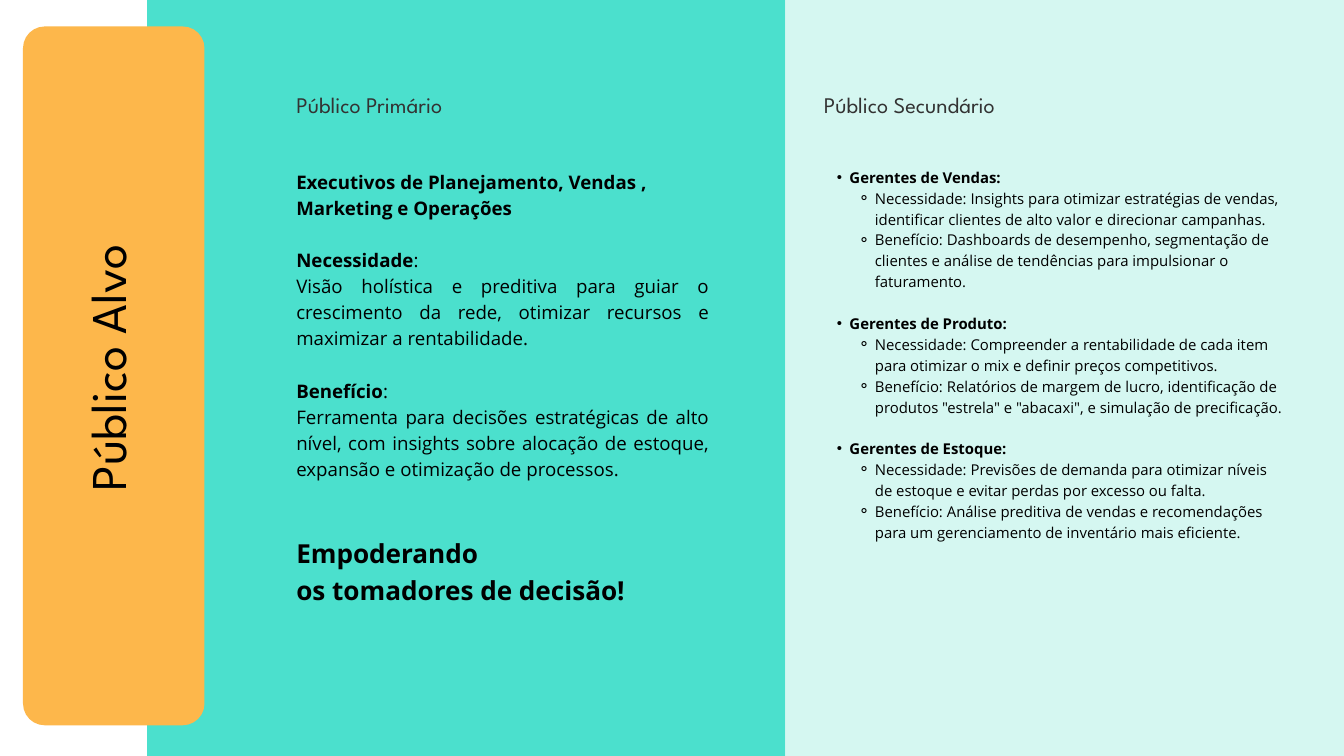
from pptx import Presentation
from pptx.dml.color import RGBColor
from pptx.enum.shapes import MSO_SHAPE
from pptx.enum.text import PP_ALIGN
from pptx.oxml.ns import qn
from pptx.util import Cm, Pt
from lxml import etree

RECT, ROUND = MSO_SHAPE.RECTANGLE, MSO_SHAPE.ROUNDED_RECTANGLE
LEFT, MID, JUST = PP_ALIGN.LEFT, PP_ALIGN.CENTER, PP_ALIGN.JUSTIFY

WIDE, HIGH = 50.8, 28.58
HUES = {"teal": "4BE0CD", "mint": "D5F7F1", "gold": "FDB74B",
        "ink": "000000", "gray": "333333"}

PANELS = [
    (RECT, "teal", (5.56, 0, 24.13, HIGH)),
    (RECT, "mint", (29.69, 0, 21.11, HIGH)),
    (ROUND, "gold", (0.87, 1, 6.86, 26.42)),
]

STYLES = {
    "title": {"font": "League Spartan", "size": 53.6, "line": 70.2, "hue": "ink", "align": MID},
    "head": {"font": "League Spartan", "size": 23.9, "line": 33.5, "hue": "gray", "align": LEFT},
    "lead": {"font": "Open Sans", "size": 20, "line": 28, "hue": "ink", "align": LEFT},
    "body": {"font": "Open Sans", "size": 20, "line": 28, "hue": "ink", "align": JUST},
    "call": {"font": "Open Sans", "size": 28, "line": 39.2, "hue": "ink", "align": JUST},
    "role": {"font": "Open Sans", "size": 16, "line": 22.4, "hue": "ink", "align": LEFT,
             "bullet": (1, 0.97, -0.48, "•")},
    "item": {"font": "Open Sans", "size": 16, "line": 22.4, "hue": "ink", "align": LEFT,
             "bullet": (2, 1.93, -0.64, "⚬")},
}

TITLE = "Público Alvo"
HEADS = [(11.2, "Público Primário"), (31.14, "Público Secundário")]
LEAD = "Executivos de Planejamento, Vendas , Marketing e Operações"
NEEDS = [
    ("Necessidade", "Visão holística e preditiva para guiar o crescimento da rede, "
     "otimizar recursos e maximizar a rentabilidade."),
    ("Benefício", "Ferramenta para decisões estratégicas de alto nível, com insights "
     "sobre alocação de estoque, expansão e otimização de processos."),
]
CALL = ["Empoderando", "os tomadores de decisão!"]
ROLES = [
    ("Gerentes de Vendas:", [
        "Necessidade: Insights para otimizar estratégias de vendas, identificar "
        "clientes de alto valor e direcionar campanhas.",
        "Benefício: Dashboards de desempenho, segmentação de clientes e análise "
        "de tendências para impulsionar o faturamento."]),
    ("Gerentes de Produto:", [
        "Necessidade: Compreender a rentabilidade de cada item para otimizar o mix "
        "e definir preços competitivos.",
        "Benefício: Relatórios de margem de lucro, identificação de produtos "
        "\"estrela\" e \"abacaxi\", e simulação de precificação."]),
    ("Gerentes de Estoque:", [
        "Necessidade: Previsões de demanda para otimizar níveis de estoque e evitar "
        "perdas por excesso ou falta.",
        "Benefício: Análise preditiva de vendas e recomendações para um "
        "gerenciamento de inventário mais eficiente."]),
]


def color(name):
    return RGBColor.from_string(HUES[name])


def add_panel(slide, kind, hue, box):
    shape = slide.shapes.add_shape(kind, *map(Cm, box))
    shape.shadow.inherit = False
    shape.fill.solid()
    shape.fill.fore_color.rgb = color(hue)
    shape.line.fill.background()
    if kind == ROUND:
        shape.adjustments[0] = 0.12


def set_bullet(para, level, left, hang, mark):
    para.level = level
    props = para._p.get_or_add_pPr()
    for key, value in {"marL": left, "indent": hang}.items():
        props.set(key, str(Cm(value)))
    etree.SubElement(props, qn("a:buFont")).set("typeface", "Arial")
    etree.SubElement(props, qn("a:buChar")).set("char", mark)


def add_text(slide, box, paras, turn=0):
    shape = slide.shapes.add_textbox(*map(Cm, box))
    shape.rotation = turn
    frame = shape.text_frame
    frame.word_wrap = True
    for side in ("left", "top", "right", "bottom"):
        setattr(frame, f"margin_{side}", 0)
    for index, (style, gap, runs) in enumerate(paras):
        look = STYLES[style]
        para = frame.add_paragraph() if index else frame.paragraphs[0]
        form = {"alignment": look["align"], "line_spacing": Pt(look["line"]),
                "space_before": Pt(gap)}
        for key, value in form.items():
            setattr(para, key, value)
        if "bullet" in look:
            set_bullet(para, *look["bullet"])
        for text, bold in runs:
            run = para.add_run()
            run.text = text
            form = {"name": look["font"], "size": Pt(look["size"]), "bold": bold}
            for key, value in form.items():
                setattr(run.font, key, value)
            run.font.color.rgb = color(look["hue"])


def main_paras():
    paras = [("lead", 0, [(LEAD, True)])]
    for label, text in NEEDS:
        paras.append(("body", 28, [(label, True), (":", False)]))
        paras.append(("body", 0, [(text, False)]))
    for index, text in enumerate(CALL):
        paras.append(("call", 0 if index else 56, [(text, True)]))
    return paras


def role_paras():
    paras = []
    for role, items in ROLES:
        paras.append(("role", 22.4 if paras else 0, [(role, True)]))
        paras += [("item", 0, [(text, False)]) for text in items]
    return paras


def main():
    deck = Presentation()
    deck.slide_width, deck.slide_height = Cm(WIDE), Cm(HIGH)
    slide = deck.slides.add_slide(deck.slide_layouts[6])
    for panel in PANELS:
        add_panel(slide, *panel)
    add_text(slide, (-5.03, 12.12, 18.97, 3.56), [("title", 0, [(TITLE, False)])], 270)
    for left, text in HEADS:
        add_text(slide, (left, 3.28, 9.02, 1.12), [("head", 0, [(text, False)])])
    add_text(slide, (11.2, 6.3, 15.6, 19.4), main_paras())
    add_text(slide, (31.14, 6.25, 17.4, 16.6), role_paras())
    deck.save("out.pptx")


if __name__ == "__main__":
    main()
